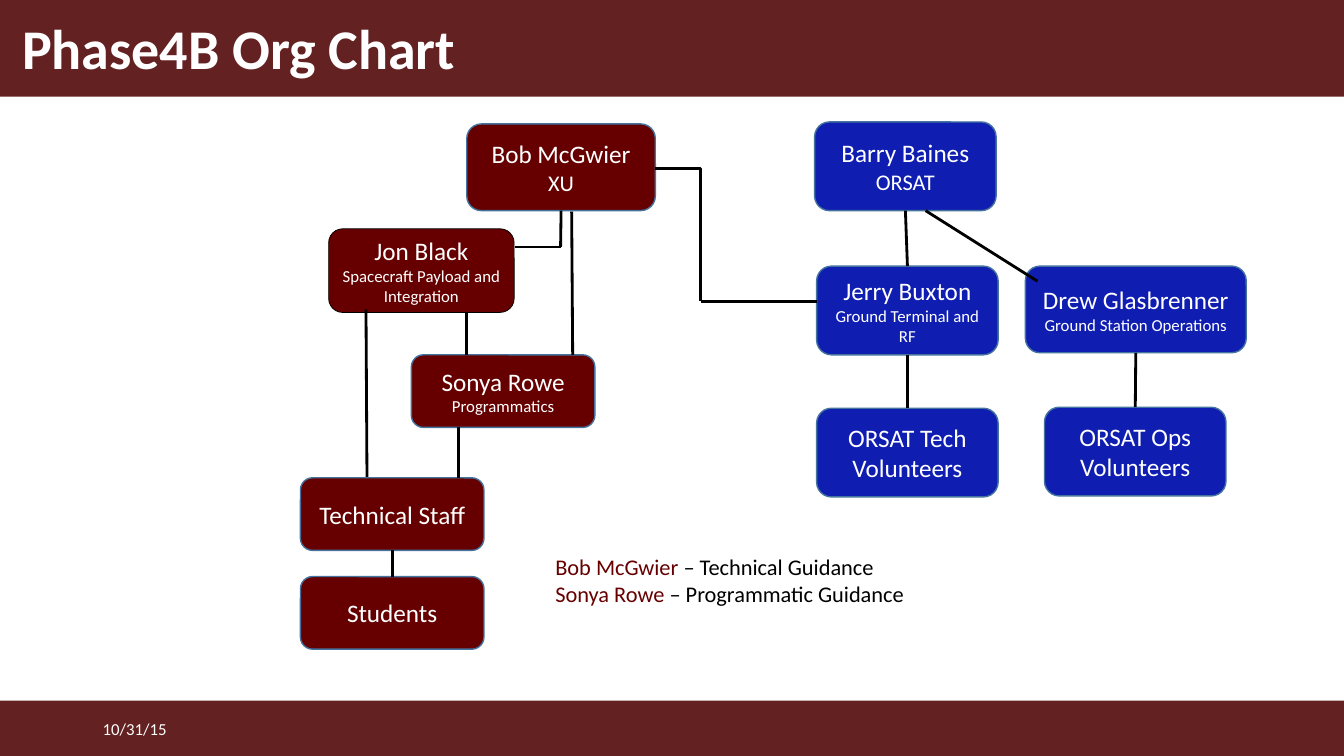
from lxml.etree import SubElement
from pptx import Presentation
from pptx.dml.color import RGBColor
from pptx.enum.shapes import MSO_CONNECTOR, MSO_SHAPE
from pptx.enum.text import MSO_ANCHOR, MSO_AUTO_SIZE, PP_ALIGN
from pptx.oxml.ns import qn
from pptx.util import Inches, Pt

COLORS = {
    "band": "632121",
    "maroon": "660000",
    "blue": "0F1EB1",
    "edge": "43739E",
    "black": "000000",
    "white": "FFFFFF",
}
TOP, LEFT, BOTTOM, RIGHT = range(4)
WIDTH, HEIGHT = 13.33, 7.5


class OrgChart:
    font = "Calibri"

    def __init__(self, page):
        self.page = page
        self.shapes = page.shapes

    def color(self, name):
        return RGBColor.from_string(COLORS[name])

    def set_text(self, shape, paragraphs, anchor=MSO_ANCHOR.MIDDLE, **paragraph_format):
        """Fill a shape with paragraphs, each a list of (text, size, color[, bold])."""
        frame = shape.text_frame
        frame_format = {"word_wrap": True, "auto_size": MSO_AUTO_SIZE.NONE,
                        "vertical_anchor": anchor}
        for name, value in frame_format.items():
            setattr(frame, name, value)
        for index, spans in enumerate(paragraphs):
            para = frame.add_paragraph() if index else frame.paragraphs[0]
            for name, value in paragraph_format.items():
                setattr(para, name, value)
            for text, size, color, *bold in spans:
                span = para.add_run()
                span.text = text
                font_format = {"name": self.font, "size": Pt(size), "bold": bool(bold)}
                for name, value in font_format.items():
                    setattr(span.font, name, value)
                span.font.color.rgb = self.color(color)

    def shape(self, kind, place, fill):
        shape = self.shapes.add_shape(kind, *map(Inches, place))
        shape.shadow.inherit = False
        shape.fill.solid()
        shape.fill.fore_color.rgb = self.color(fill)
        return shape

    def band(self, top, height):
        """Draw a full-width band behind everything else."""
        band = self.shape(MSO_SHAPE.RECTANGLE, (0, top, WIDTH, height), "band")
        band.line.fill.background()
        self.shapes._spTree.insert(2, band._element)

    def title(self, text, place):
        title = self.shapes.title
        title.left, title.top, title.width, title.height = map(Inches, place)
        self.set_text(title, [[(text, 40, "white", True)]],
                      alignment=PP_ALIGN.LEFT, line_spacing=0.9)

    def text(self, place, paragraphs, anchor):
        box = self.shapes.add_textbox(*map(Inches, place))
        self.set_text(box, paragraphs, anchor)

    def box(self, place, fill, name, role="", role_size=12, edge="edge", edge_width=1):
        box = self.shape(MSO_SHAPE.ROUNDED_RECTANGLE, place, fill)
        box.line.color.rgb = self.color(edge)
        box.line.width = Pt(edge_width)
        paragraphs = [[(name, 18, "white")]]
        if role:
            paragraphs.append([(role, role_size, "white")])
        self.set_text(box, paragraphs, alignment=PP_ALIGN.CENTER)
        return box

    def line(self, start=(0, 0), end=(0, 0), upper=None, lower=None,
             kind=MSO_CONNECTOR.STRAIGHT):
        """Draw a line between points, or from the upper box down to the lower box."""
        line = self.shapes.add_connector(kind, *map(Inches, start + end))
        if upper:
            line.begin_connect(upper, BOTTOM)
        if lower:
            line.end_connect(lower, TOP)
        line.line.color.rgb = self.color("black")
        line.line.width = Pt(2)
        SubElement(line._element.spPr, qn("a:effectLst"))
        return line

    def corner(self, start, end):
        """Draw a connector with one turn: across, then down."""
        line = self.line(start, end, kind=MSO_CONNECTOR.ELBOW)
        line._element.spPr.find(qn("a:prstGeom")).set("prst", "bentConnector2")


def main():
    deck = Presentation()
    deck.slide_width, deck.slide_height = Inches(WIDTH), Inches(HEIGHT)
    chart = OrgChart(deck.slides.add_slide(deck.slide_layouts[5]))

    chart.band(0, 0.96)
    chart.band(6.95, 0.55)
    chart.title("Phase4B Org Chart", (0.12, 0.13, 10.88, 0.75))
    chart.text((0.92, 7.03, 3, 0.4), [[("10/31/15", 12, "white")]], MSO_ANCHOR.MIDDLE)

    bob = chart.box((4.63, 1.23, 1.87, 0.86), "maroon", "Bob McGwier", "XU", 16)
    chart.box((3.26, 2.27, 1.84, 0.83), "maroon", "Jon Black",
              "Spacecraft Payload and Integration", edge="black", edge_width=0.5)
    chart.box((4.08, 3.52, 1.82, 0.72), "maroon", "Sonya Rowe", "Programmatics")
    staff = chart.box((2.98, 4.74, 1.82, 0.72), "maroon", "Technical Staff")
    students = chart.box((2.98, 5.72, 1.82, 0.72), "maroon", "Students")

    barry = chart.box((8.08, 1.21, 1.8, 0.88), "blue", "Barry Baines", "ORSAT", 16)
    jerry = chart.box((8.1, 2.64, 1.8, 0.88), "blue", "Jerry Buxton",
                      "Ground Terminal and RF")
    tech = chart.box((8.1, 4.05, 1.8, 0.88), "blue", "ORSAT Tech Volunteers")
    drew = chart.box((10.17, 2.64, 2.19, 0.86), "blue", "Drew Glasbrenner",
                     "Ground Station Operations")
    ops = chart.box((10.36, 4.04, 1.8, 0.88), "blue", "ORSAT Ops Volunteers")

    for upper, lower in ((staff, students), (barry, jerry), (jerry, tech), (drew, ops)):
        chart.line(upper=upper, lower=lower)
    chart.line(end=(5.56, 2.45), upper=bob)
    for start, end in (
        ((5.11, 2.45), (5.56, 2.45)),
        ((5.67, 2.1), (5.68, 3.52)),
        ((3.63, 3.07), (3.64, 4.73)),
        ((4.55, 4.24), (4.55, 4.74)),
        ((4.63, 3.1), (4.63, 3.52)),
        ((6.95, 2.99), (8.1, 2.99)),
        ((9.18, 2.09), (10.29, 2.79)),
    ):
        chart.line(start, end)
    chart.corner((6.5, 1.67), (6.95, 2.99))

    guidance = (("Bob McGwier ", "– Technical Guidance"),
                ("Sonya Rowe ", "– Programmatic Guidance"))
    chart.text((5.41, 5.44, 5.74, 0.64),
               [[(name, 16, "maroon"), (role, 16, "black")] for name, role in guidance],
               MSO_ANCHOR.TOP)
    deck.save("out.pptx")


if __name__ == "__main__":
    main()
